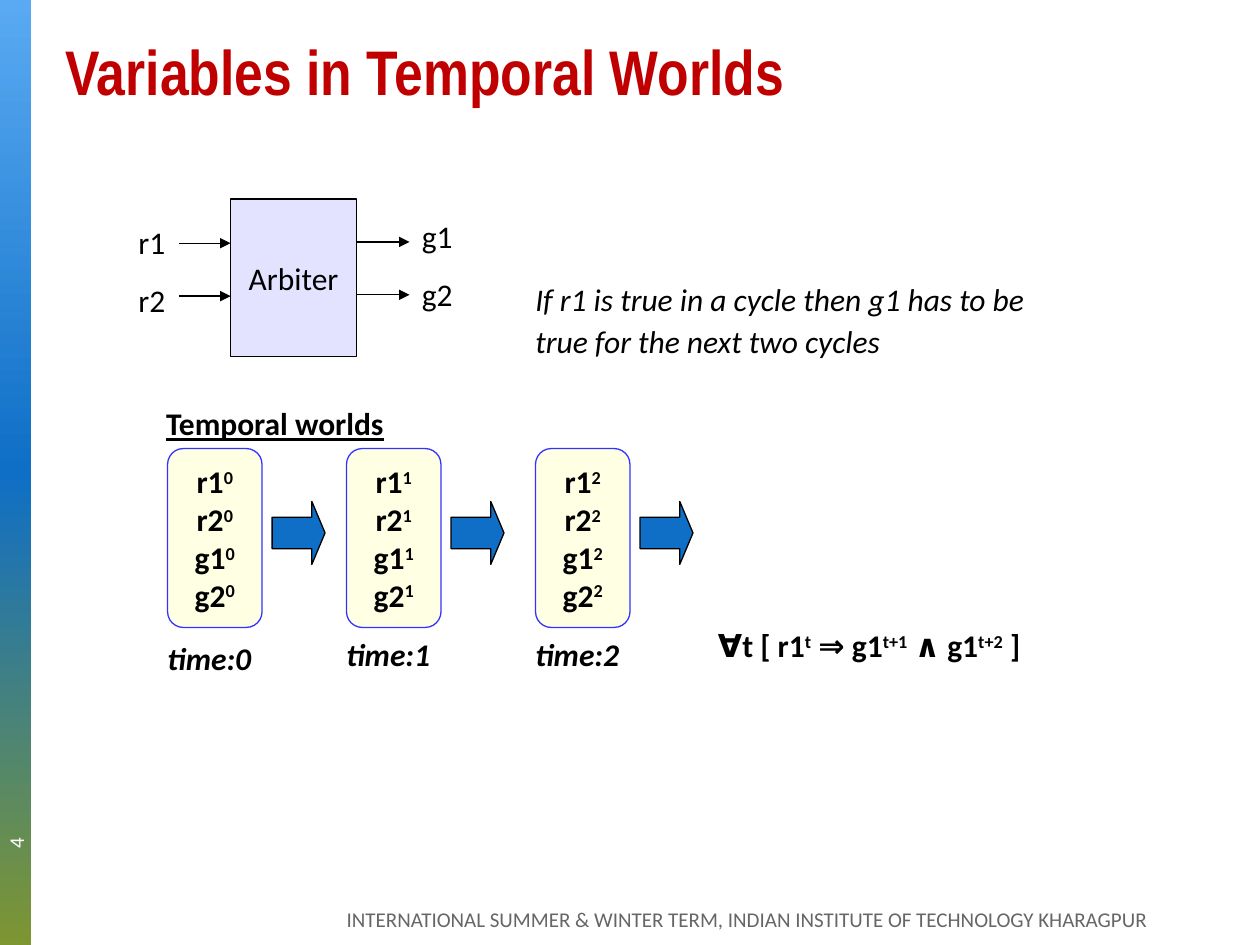
from copy import deepcopy

from lxml.etree import SubElement
from pptx import Presentation
from pptx.dml.color import RGBColor
from pptx.enum.shapes import MSO_CONNECTOR, MSO_SHAPE
from pptx.enum.text import MSO_ANCHOR, MSO_AUTO_SIZE, PP_ALIGN
from pptx.oxml.ns import qn
from pptx.util import Inches, Pt

FOOTER = "INTERNATIONAL SUMMER & WINTER TERM, INDIAN INSTITUTE OF TECHNOLOGY KHARAGPUR"
RULE = "∀t [ r1^t^ ⇒ g1^t+1^ ∧ g1^t+2^ ]"
SIGNALS = ("r1", "r2", "g1", "g2")


def color(hex_string):
    return RGBColor.from_string(hex_string)


def write(frame, lines, size=18, font="Calibri", ink="000000", align=PP_ALIGN.LEFT,
          bold=False, italic=False, underline=False):
    for index, line in enumerate(lines):
        paragraph = frame.paragraphs[0] if index == 0 else frame.add_paragraph()
        paragraph.alignment = align
        for position, piece in enumerate(line.split("^")):
            if not piece:
                continue
            run = paragraph.add_run()
            run.text = piece
            run.font.size = Pt(size)
            run.font.name = font
            run.font.color.rgb = color(ink)
            run.font.bold = bold
            run.font.italic = italic
            run.font.underline = underline
            if position % 2:
                run._r.get_or_add_rPr().set("baseline", "30000")


def add_label(slide, box, lines, wrap=False, anchor=MSO_ANCHOR.TOP, **style):
    label = slide.shapes.add_textbox(*map(Inches, box))
    frame = label.text_frame
    frame.word_wrap = wrap
    frame.auto_size = MSO_AUTO_SIZE.NONE
    frame.vertical_anchor = anchor
    write(frame, lines, **style)
    return label


def add_block(slide, kind, box, fill, line, adjustments=(), lines=(), **style):
    block = slide.shapes.add_shape(kind, *map(Inches, box))
    block.shadow.inherit = False
    for index, value in enumerate(adjustments):
        block.adjustments[index] = value
    block.fill.solid()
    block.fill.fore_color.rgb = color(fill)
    block.line.color.rgb = color(line)
    block.line.width = Pt(0.75)
    block.text_frame.word_wrap = False
    block.text_frame.vertical_anchor = MSO_ANCHOR.MIDDLE
    write(block.text_frame, lines, align=PP_ALIGN.CENTER, **style)


def add_wire(slide, left, right, y):
    wire = slide.shapes.add_connector(
        MSO_CONNECTOR.STRAIGHT, Inches(left), Inches(y), Inches(right), Inches(y))
    wire.line.color.rgb = color("000000")
    wire.line.width = Pt(0.75)
    SubElement(wire.line._get_or_add_ln(), qn("a:tailEnd"), type="triangle")
    SubElement(wire._element.spPr, qn("a:effectLst"))


def add_side_band(slide):
    band = slide.shapes.add_shape(MSO_SHAPE.RECTANGLE, 0, 0, Inches(0.25), Inches(7.5))
    band.shadow.inherit = False
    band.line.fill.background()
    band.fill.gradient()
    band.fill.gradient_angle = 270
    first = band._element.spPr.find(".//" + qn("a:gs"))
    first.addnext(deepcopy(first))
    stops = zip(band.fill.gradient_stops, (0, 0.5, 1), ("59AAF2", "0F6FC6", "7E9632"))
    for stop, position, shade in stops:
        stop.position = position
        stop.color.rgb = color(shade)


def add_arbiter(slide):
    add_block(slide, MSO_SHAPE.RECTANGLE, (1.83, 1.58, 1, 1.25), "E3E3FF", "000000",
              lines=["Arbiter"])
    for row, number in enumerate("12"):
        add_wire(slide, 1.42, 1.83, 1.93 + row * 0.42)
        add_wire(slide, 2.83, 3.25, 1.92 + row * 0.42)
        add_label(slide, (1, 1.72 + row * 0.46, 0.44, 0.4), ["r" + number])
        add_label(slide, (3.25, 1.67 + row * 0.46, 0.49, 0.4), ["g" + number])


def add_world(slide, time, left, caption_top):
    add_block(slide, MSO_SHAPE.ROUNDED_RECTANGLE, (left, 3.56, 0.75, 1.42),
              "FEFFE3", "3333FF", [0.167],
              [f"{signal}^{time}" for signal in SIGNALS], bold=True)
    add_block(slide, MSO_SHAPE.RIGHT_ARROW, (left + 0.83, 3.98, 0.42, 0.5),
              "0F6FC6", "000000", [0.5, 0.25])
    add_label(slide, (left - 0.1, caption_top, 0.88, 0.4), [f"time:{time}"],
              bold=True, italic=True)


def main():
    deck = Presentation()
    deck.slide_width, deck.slide_height = Inches(10), Inches(7.5)
    slide = deck.slides.add_slide(deck.slide_layouts[6])

    add_side_band(slide)
    page_number = add_label(slide, (-1.31, 5.27, 2.87, 0.25), ["4"], wrap=True,
                            anchor=MSO_ANCHOR.MIDDLE, size=12, ink="FFFFFF")
    page_number.rotation = 270
    add_label(slide, (0.42, 0.08, 8.25, 0.83), ["Variables in Temporal Worlds"], wrap=True,
              anchor=MSO_ANCHOR.BOTTOM, size=36, font="Arial Narrow", ink="C00000", bold=True)

    add_arbiter(slide)
    requirement = add_label(
        slide, (4.15, 2.17, 4.85, 0.7),
        ["If r1 is true in a cycle then g1 has to be", "true for the next two cycles"],
        italic=True)
    requirement.text_frame.paragraphs[1].space_before = Pt(2.5)

    add_label(slide, (1.22, 3.16, 1.94, 0.4), ["Temporal worlds"], bold=True, underline=True)
    for time, (left, caption_top) in enumerate([(1.33, 5.02), (2.75, 4.99), (4.25, 4.99)]):
        add_world(slide, time, left, caption_top)
    add_label(slide, (5.6, 4.92, 2.67, 0.4), [RULE], bold=True)

    add_label(slide, (1.38, 7.17, 7.83, 0.25), [FOOTER], wrap=True, anchor=MSO_ANCHOR.MIDDLE,
              size=12, ink="666666", align=PP_ALIGN.RIGHT)
    deck.save("out.pptx")


if __name__ == "__main__":
    main()
